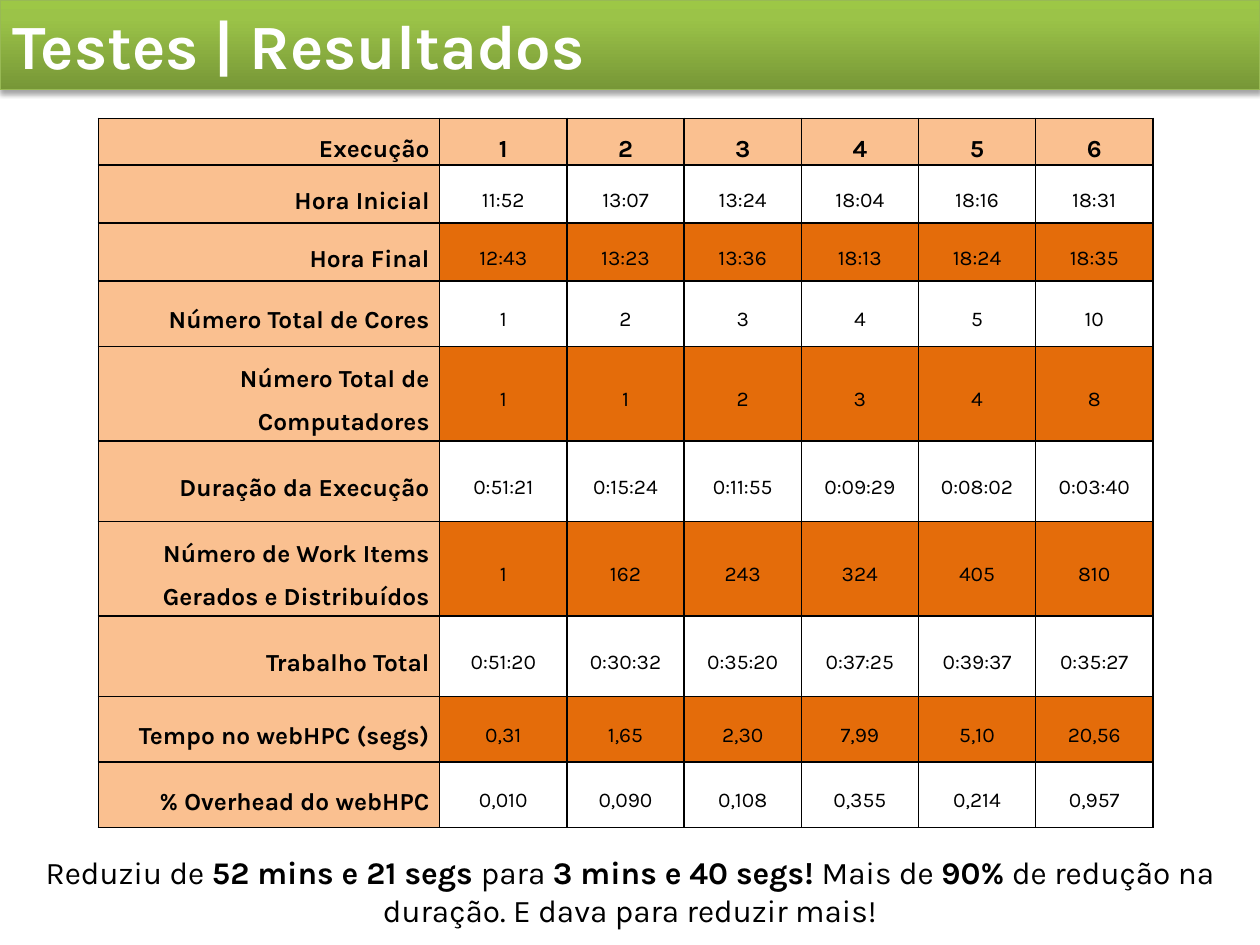
import copy
from dataclasses import dataclass

import pptx
import pptx.dml.color
import pptx.enum.text
import pptx.oxml
import pptx.oxml.ns
import pptx.util
from pptx.util import Inches

ALIGN = pptx.enum.text.PP_ALIGN
MIDDLE = pptx.enum.text.MSO_ANCHOR.MIDDLE


@dataclass(frozen=True)
class Theme:
    font: str = "Karla"
    black: str = "000000"
    white: str = "FFFFFF"
    heading_fill: str = "FAC090"
    band_fill: str = "E46C0A"
    banner_line: str = "98B955"
    banner_stops: tuple = ((0, "779737"), (0.8, "9BC348"), (1, "9DC746"))
    title_size: int = 36
    conclusion_size: int = 18
    heading_size: int = 14
    value_size: int = 12


THEME = Theme()

COLUMN_WIDTHS = [2.71, 1.01] + [0.93] * 5
ROW_HEIGHTS = [0.37, 0.46, 0.46, 0.52, 0.75, 0.64, 0.75, 0.64, 0.52, 0.52]
RESULTS = [
    ("Execução", "1", "2", "3", "4", "5", "6"),
    ("Hora Inicial", "11:52", "13:07", "13:24", "18:04", "18:16", "18:31"),
    ("Hora Final", "12:43", "13:23", "13:36", "18:13", "18:24", "18:35"),
    ("Número Total de Cores", "1", "2", "3", "4", "5", "10"),
    ("Número Total de Computadores", "1", "1", "2", "3", "4", "8"),
    ("Duração da Execução", "0:51:21", "0:15:24", "0:11:55", "0:09:29", "0:08:02", "0:03:40"),
    ("Número de Work Items Gerados e Distribuídos", "1", "162", "243", "324", "405", "810"),
    ("Trabalho Total", "0:51:20", "0:30:32", "0:35:20", "0:37:25", "0:39:37", "0:35:27"),
    ("Tempo no webHPC (segs)", "0,31", "1,65", "2,30", "7,99", "5,10", "20,56"),
    ("% Overhead do webHPC", "0,010", "0,090", "0,108", "0,355", "0,214", "0,957"),
]
# Text and whether it is bold
CONCLUSION = [
    ("Reduziu de ", False),
    ("52 mins e 21 segs ", True),
    ("para ", False),
    ("3 mins e 40 segs! ", True),
    ("Mais de ", False),
    ("90%", True),
    (" de redução na duração. E dava para reduzir mais!", False),
]


def rgb(value):
    return pptx.dml.color.RGBColor.from_string(value)


def style_paragraph(paragraph, size, color, align, bold=None):
    paragraph.alignment = align
    font = paragraph.font
    font.name = THEME.font
    font.size = pptx.util.Pt(size)
    font.color.rgb = rgb(color)
    font.bold = bold


def add_shadow(shape):
    shape._element.spPr.append(pptx.oxml.parse_xml(
        f'<a:effectLst {pptx.oxml.ns.nsdecls("a")}>'
        '<a:outerShdw blurRad="39370" dist="22860" dir="5400000" rotWithShape="0">'
        f'<a:srgbClr val="{THEME.black}"><a:alpha val="35000"/></a:srgbClr>'
        '</a:outerShdw></a:effectLst>'))


def fill_banner(shape):
    shape.fill.gradient()
    shape.fill.gradient_angle = 90
    stop_list = shape._element.spPr.find(".//" + pptx.oxml.ns.qn("a:gsLst"))
    stop_list.append(copy.deepcopy(stop_list[-1]))
    for stop, (position, color) in zip(shape.fill.gradient_stops, THEME.banner_stops):
        stop.position = position
        stop.color.rgb = rgb(color)


def add_title(slide, text):
    title = slide.shapes.title
    title.left, title.top = Inches(0), Inches(0)
    title.width, title.height = Inches(10), Inches(0.71)
    fill_banner(title)
    title.line.color.rgb = rgb(THEME.banner_line)
    title.line.width = pptx.util.Pt(0.75)
    add_shadow(title)
    frame = title.text_frame
    frame.text = text
    frame.auto_size = pptx.enum.text.MSO_AUTO_SIZE.NONE
    frame.vertical_anchor = MIDDLE
    style_paragraph(frame.paragraphs[0], THEME.title_size, THEME.white, ALIGN.LEFT, True)


def add_borders(cell):
    properties = cell._tc.get_or_add_tcPr()
    for side in "LRTB":
        properties.append(pptx.oxml.parse_xml(
            f'<a:ln{side} {pptx.oxml.ns.nsdecls("a")} w="12700"><a:solidFill>'
            f'<a:srgbClr val="{THEME.black}"/></a:solidFill></a:ln{side}>'))


def format_cell(cell, text, row, column):
    is_label = column == 0
    is_heading = is_label or row == 0
    add_borders(cell)
    if is_heading or row % 2 == 0:
        cell.fill.solid()
        cell.fill.fore_color.rgb = rgb(THEME.heading_fill if is_heading else THEME.band_fill)
    else:
        cell.fill.background()
    cell.text = text
    cell.vertical_anchor = MIDDLE
    cell.margin_left = cell.margin_top = cell.margin_bottom = Inches(0)
    cell.margin_right = Inches(0.08 if is_label else 0)
    paragraph = cell.text_frame.paragraphs[0]
    paragraph.line_spacing = 1.5
    paragraph.space_before = paragraph.space_after = pptx.util.Pt(6)
    style_paragraph(paragraph, THEME.heading_size if is_heading else THEME.value_size,
                    THEME.black, ALIGN.RIGHT if is_label else ALIGN.CENTER, is_heading)


def add_results_table(slide):
    table = slide.shapes.add_table(
        len(RESULTS), len(COLUMN_WIDTHS), Inches(0.78), Inches(0.94),
        Inches(sum(COLUMN_WIDTHS)), Inches(sum(ROW_HEIGHTS))).table
    table.first_row = table.horz_banding = False
    for column, width in zip(table.columns, COLUMN_WIDTHS):
        column.width = Inches(width)
    for row, height in zip(table.rows, ROW_HEIGHTS):
        row.height = Inches(height)
    for row, values in enumerate(RESULTS):
        for column, text in enumerate(values):
            format_cell(table.cell(row, column), text, row, column)


def add_conclusion(slide):
    box = slide.shapes.add_textbox(Inches(0), Inches(6.72), Inches(10), Inches(0.71))
    box.text_frame.word_wrap = True
    paragraph = box.text_frame.paragraphs[0]
    style_paragraph(paragraph, THEME.conclusion_size, THEME.black, ALIGN.CENTER)
    for text, bold in CONCLUSION:
        run = paragraph.add_run()
        run.text = text
        run.font.bold = bold


def main():
    presentation = pptx.Presentation()
    presentation.slide_width = Inches(10)
    presentation.slide_height = Inches(7.5)
    slide = presentation.slides.add_slide(presentation.slide_layouts[5])

    # Green banner, test results, closing remark
    add_title(slide, "Testes | Resultados")
    add_results_table(slide)
    add_conclusion(slide)

    presentation.save("out.pptx")


if __name__ == "__main__":
    main()
